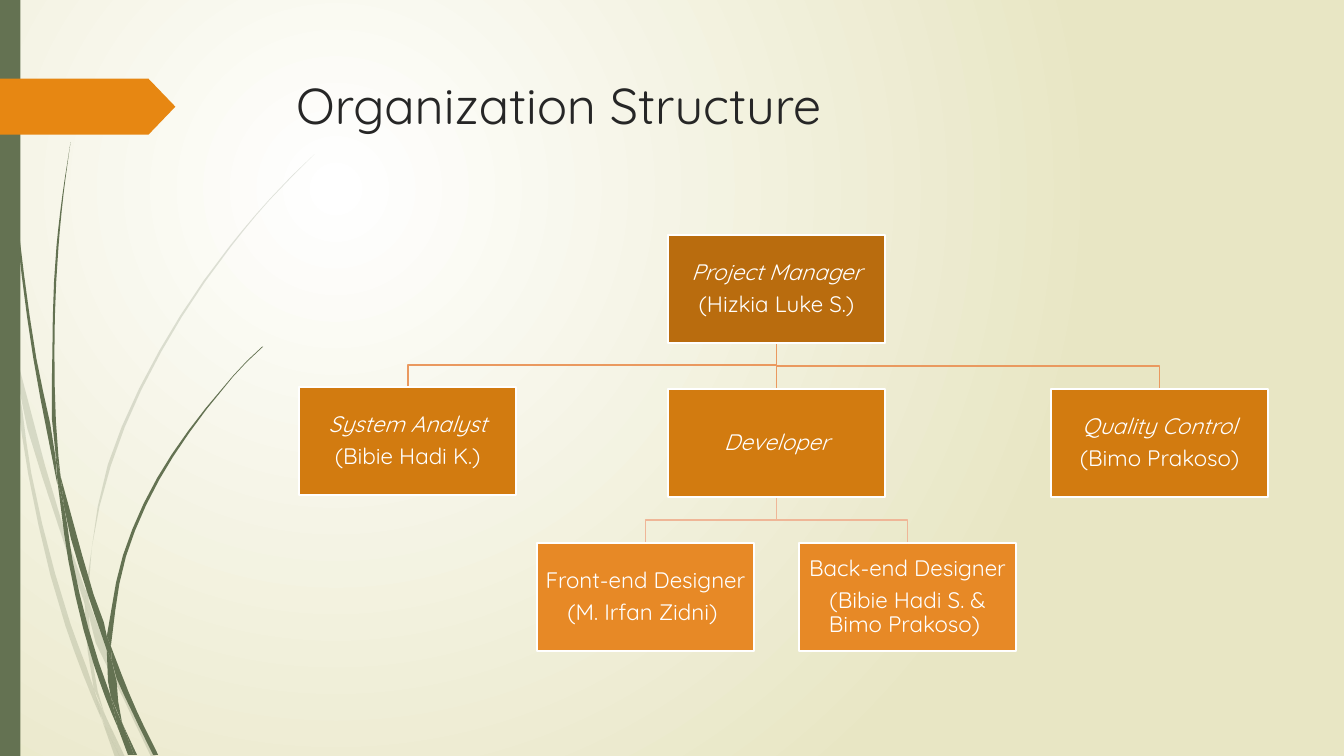
import collections

import lxml.etree
import pptx
import pptx.dml.color
import pptx.enum.shapes
import pptx.enum.text
import pptx.oxml.ns
import pptx.util

Pt = pptx.util.Pt
SHAPES = pptx.enum.shapes.MSO_SHAPE
qn = pptx.oxml.ns.qn
Box = collections.namedtuple("Box", "left top width height")

COLOURS = {
    "glow": "FFFFFF", "sand": "E8E6C4", "moss": "647252", "tag": "E78712",
    "title": "262626", "white": "FFFFFF",
    "manager": "B96C0E", "team": "D27B10", "designer": "E78926",
    "team line": "EA995F", "designer line": "EFB697",
}
FONT = "Quicksand"
CARD_WIDTH, CARD_HEIGHT = 154.9, 77.4

# Each piece of grass: left edge and right edge from top to bottom, as (x, y) on a 0.72 pt grid.
GRID = 0.72
PALE_GRASS = [
    ([(0, 299), (10, 344), (11, 350)], [(0, 282), (9, 322), (11, 350)]),
    ([(14, 345), (17, 376), (58, 522), (84, 599)], [(14, 345), (62, 520), (85, 586)]),
    ([(88, 596), (88, 610), (123, 694), (150, 751)],
     [(88, 596), (92, 607), (127, 692), (155, 751)]),
    ([(105, 711), (119, 751)], [(105, 711), (124, 751)]),
    ([(11, 350), (28, 470), (65, 621), (92, 693), (101, 714)],
     [(11, 350), (17, 376), (31, 469), (70, 619), (93, 683), (101, 714)]),
    ([(84, 599), (87, 646), (93, 683), (105, 711)],
     [(84, 599), (88, 610), (91, 646), (103, 706), (105, 711)]),
    ([(312, 153), (289, 175), (268, 197), (228, 244), (158, 348), (107, 461), (85, 586)],
     [(312, 153), (290, 175), (268, 198), (229, 245), (160, 349), (110, 462), (88, 584),
      (88, 596)]),
    ([(101, 714), (114, 751)], [(101, 714), (119, 751)]),
    ([(85, 586), (84, 599)], [(85, 586), (88, 596), (88, 610)]),
    ([(93, 683), (99, 707), (119, 751)], [(93, 683), (96, 692), (105, 711), (119, 751)]),
]
DARK_GRASS = [
    ([(3, 0), (4, 48), (7, 110), (17, 233), (33, 355), (57, 481)],
     [(4, 0), (5, 48), (8, 109), (19, 232), (36, 355), (55, 453), (57, 481)]),
    ([(60, 472), (64, 505), (88, 592), (106, 645)],
     [(60, 472), (93, 590), (106, 631), (106, 645)]),
    ([(110, 641), (111, 656), (132, 708), (152, 749)],
     [(110, 641), (113, 649), (136, 706), (157, 749)]),
    ([(57, 477), (68, 557), (93, 659), (111, 708), (117, 722)],
     [(57, 477), (64, 505), (72, 556), (98, 657), (110, 691), (117, 722)]),
    ([(70, 141), (62, 193), (56, 245), (52, 349), (55, 449), (60, 472)],
     [(70, 141), (63, 193), (58, 245), (54, 349), (58, 453), (60, 472)]),
    ([(122, 719), (133, 749)], [(122, 719), (136, 749)]),
    ([(55, 449), (57, 477), (64, 505)], [(55, 449), (60, 472), (64, 505)]),
    ([(260, 344), (245, 358), (231, 373), (204, 405), (156, 474), (122, 551), (106, 631)],
     [(261, 344), (245, 359), (231, 374), (205, 406), (158, 476), (125, 552), (111, 633),
      (110, 641)]),
    ([(117, 722), (127, 749)], [(117, 722), (131, 749)]),
    ([(106, 645), (110, 691), (122, 719)],
     [(106, 645), (111, 656), (121, 716), (122, 719)]),
    ([(106, 631), (106, 645)], [(106, 631), (110, 641), (111, 656)]),
    ([(110, 691), (117, 722), (130, 749)], [(110, 691), (116, 706), (122, 719), (133, 749)]),
]


def colour(name):
    return pptx.dml.color.RGBColor.from_string(COLOURS[name])


def paint(shape, fill, line=None):
    shape.shadow.inherit = False
    if fill:
        shape.fill.solid()
        shape.fill.fore_color.rgb = colour(fill)
    else:
        shape.fill.background()
    if line:
        shape.line.color.rgb = colour(line)
        shape.line.width = Pt(1.25)
    else:
        shape.line.fill.background()


def add_preset(page, kind, box):
    return page.shapes.add_shape(kind, *map(Pt, box))


def add_outline(page, points, close):
    points = [(Pt(x), Pt(y)) for x, y in points]
    builder = page.shapes.build_freeform(*points[0], scale=1.0)
    builder.add_line_segments(points[1:], close=close)
    return builder.convert_to_shape()


def smooth_edge(knots):
    """Sample a smooth curve x(y) through the knots, finer where they lie far apart."""
    spans = [(x1 - x0, y1 - y0) for (x0, y0), (x1, y1) in zip(knots, knots[1:])]
    rates = [run / rise for run, rise in spans]
    slopes = [rates[0]]
    for i in range(1, len(spans)):
        before, after = spans[i - 1][1], spans[i][1]
        slopes.append((rates[i - 1] * after + rates[i] * before) / (before + after))
    slopes.append(rates[-1])
    curve = [knots[0]]
    for i, (run, rise) in enumerate(spans):
        x, y = knots[i]
        steps = 3 if rise > 40 else 1
        for step in range(1, steps + 1):
            t = step / steps
            bend = slopes[i] * t * (1 - t) ** 2 - slopes[i + 1] * t * t * (1 - t)
            curve.append((x + run * t * t * (3 - 2 * t) + rise * bend, y + rise * t))
    return curve


def draw_background(page):
    fill = page.background.fill
    fill.gradient()
    for stop, name in zip(fill.gradient_stops, ("glow", "sand")):
        stop.color.rgb = colour(name)
    gradient = next(page.element.iter(qn("a:gradFill")))
    gradient.remove(gradient.find(qn("a:lin")))
    radial = lxml.etree.SubElement(gradient, qn("a:path"), path="circle")
    lxml.etree.SubElement(radial, qn("a:fillToRect"),
                          l="50000", t="50000", r="100000", b="100000")


def draw_grass(page, box, pieces, opacity=100):
    for left_edge, right_edge in pieces:
        outline = smooth_edge(left_edge) + smooth_edge(right_edge)[::-1]
        piece = add_outline(
            page, [(box.left + x * GRID, box.top + y * GRID) for x, y in outline], True)
        paint(piece, "moss")
        if opacity < 100:
            shade = next(piece.element.spPr.iter(qn("a:srgbClr")))
            lxml.etree.SubElement(shade, qn("a:alpha"), val=str(opacity * 1000))


def draw_side(page, box):
    # Grass, bar and arrow tag
    draw_grass(page, box, PALE_GRASS, opacity=20)
    draw_grass(page, box, DARK_GRASS)
    bar = add_preset(page, SHAPES.RECTANGLE, Box(box.left, box.top, 14.6, box.height))
    paint(bar, "moss")
    tag = add_preset(page, SHAPES.PENTAGON, Box(box.left, box.top + 56.2, 125.3, 40))
    tag.adjustments[0] = 0.48
    paint(tag, "tag")


def draw_title(page, box, text):
    frame = page.shapes.add_textbox(*map(Pt, box)).text_frame
    frame.word_wrap = True
    para = frame.paragraphs[0]
    para.text = text
    para.font.name, para.font.size = FONT, Pt(36)
    para.font.color.rgb = colour("title")


def draw_link(page, parent, child, line):
    start_x, end_x = (card.left + card.width / 2 for card in (parent, child))
    start_y, end_y = parent.top + parent.height, child.top
    if start_x == end_x:
        link = page.shapes.add_connector(pptx.enum.shapes.MSO_CONNECTOR.STRAIGHT,
                                         Pt(start_x), Pt(start_y), Pt(end_x), Pt(end_y))
        link.line.color.rgb = colour(line)
        link.line.width = Pt(1.25)
        lxml.etree.SubElement(link.element.spPr, qn("a:effectLst"))
    else:
        middle = (start_y + end_y) / 2
        corners = [(start_x, start_y), (start_x, middle), (end_x, middle), (end_x, end_y)]
        paint(add_outline(page, corners, False), None, line)


def draw_card(page, box, fill, lines, italic_role):
    card = add_preset(page, SHAPES.RECTANGLE, box)
    paint(card, fill, "white")
    frame = card.text_frame
    frame.word_wrap = True
    frame.vertical_anchor = pptx.enum.text.MSO_ANCHOR.MIDDLE
    frame.margin_left = frame.margin_right = frame.margin_top = frame.margin_bottom = Pt(0.8)
    for index, line in enumerate(lines):
        para = frame.add_paragraph() if index else frame.paragraphs[0]
        para.text = line
        para.alignment = pptx.enum.text.PP_ALIGN.CENTER
        para.line_spacing, para.space_after = 0.9, Pt(5.6)
        para.font.name, para.font.size = FONT, Pt(16)
        para.font.italic = italic_role and index == 0
        para.font.color.rgb = colour("white")


def draw_chart(page, box):
    # Position inside the box, level, parent, lines of text
    cards = {
        "manager": (263.4, 0, "manager", None, ["Project Manager", "(Hizkia Luke S.)"]),
        "analyst": (0, 108.6, "team", "manager", ["System Analyst", "(Bibie Hadi K.)"]),
        "developer": (263.4, 110, "team", "manager", ["Developer"]),
        "front": (169.8, 220, "designer", "developer",
                  ["Front-end Designer", "(M. Irfan Zidni) "]),
        "back": (357, 220, "designer", "developer",
                 ["Back-end Designer", "(Bibie Hadi S. & Bimo Prakoso) "]),
        "quality": (537, 110, "team", "manager", ["Quality Control", "(Bimo Prakoso)"]),
    }
    places = {name: Box(box.left + x, box.top + y, CARD_WIDTH, CARD_HEIGHT)
              for name, (x, y, *rest) in cards.items()}
    for name, (x, y, level, parent, lines) in cards.items():
        if parent:
            draw_link(page, places[parent], places[name], level + " line")
    for name, (x, y, level, parent, lines) in cards.items():
        draw_card(page, places[name], level, lines, level != "designer")


def main():
    deck = pptx.Presentation()
    deck.slide_width, deck.slide_height = Pt(960), Pt(540)
    page = deck.slides.add_slide(deck.slide_layouts[6])
    draw_background(page)
    draw_side(page, Box(0, 0, 225, 540))
    draw_title(page, Box(204.5, 49.3, 702, 100.8), "Organization Structure")
    draw_chart(page, Box(213.8, 167.8, 691.9, 297.4))
    deck.save("out.pptx")


if __name__ == "__main__":
    main()
